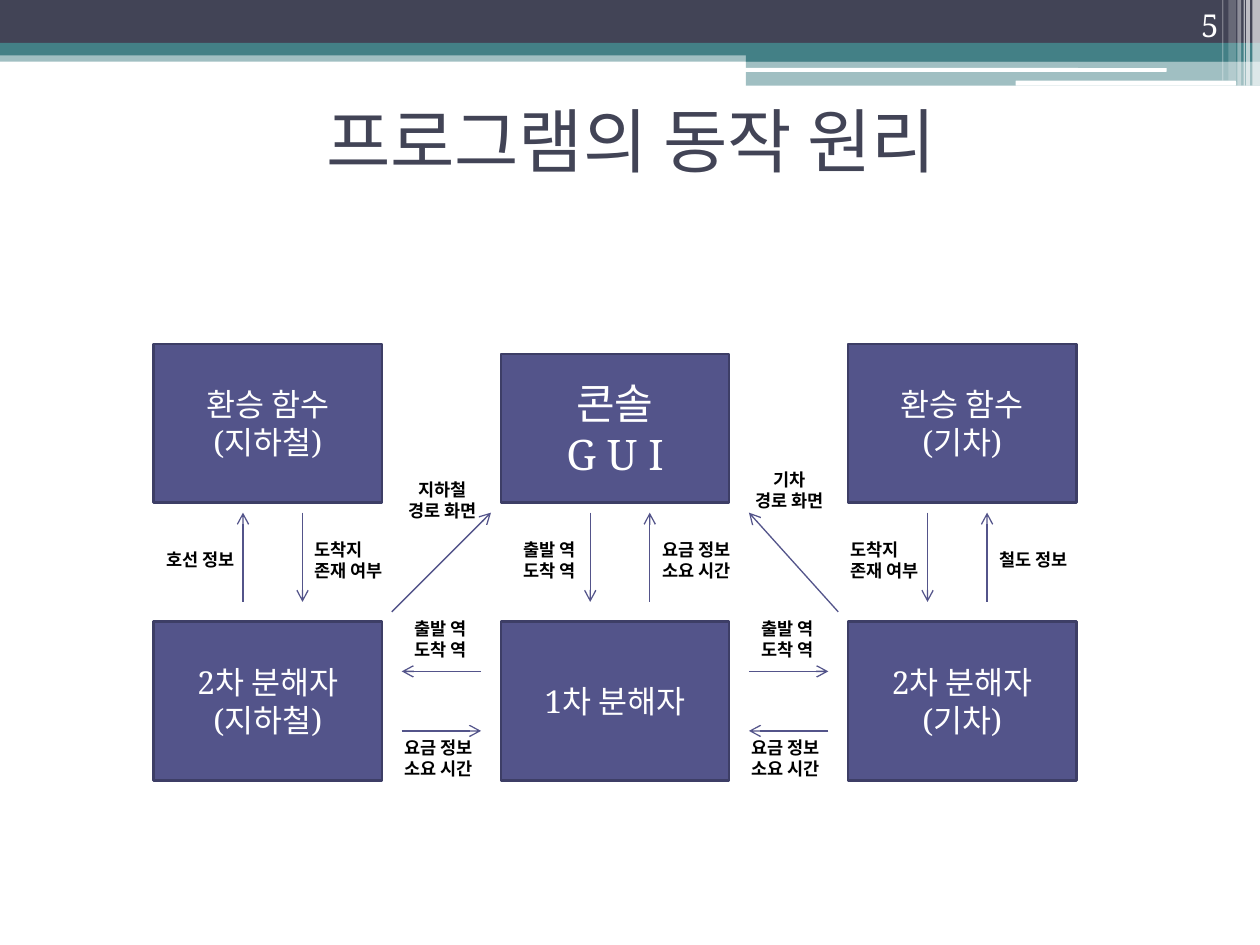
from dataclasses import dataclass
from typing import NamedTuple

from lxml.etree import SubElement
from pptx import Presentation
from pptx.dml.color import RGBColor
from pptx.enum.shapes import MSO_CONNECTOR, MSO_SHAPE
from pptx.enum.text import MSO_ANCHOR, MSO_AUTO_SIZE, PP_ALIGN
from pptx.oxml.ns import qn
from pptx.util import Cm, Inches, Pt


@dataclass(frozen=True)
class Theme:
    navy: str = "424456"
    teal: str = "438086"
    white: str = "FFFFFF"
    black: str = "000000"
    box_fill: str = "53548A"
    box_line: str = "3D3E66"
    title_font: str = "Karla"
    body_font: str = "Noto Serif"
    title_size: int = 40
    gui_size: int = 24
    body_size: int = 18
    label_size: int = 10


THEME = Theme()
WIDTH, HEIGHT = Inches(10), Inches(7.5)
SHARE = WIDTH // 100                    # banner unit: 1 % of the slide width
CELL = Cm(0.2)                          # diagram grid unit
LEFT, TOP = Inches(1.22), Inches(2.73)  # diagram grid origin
COLUMN_STEP, ROW_STEP = 35, 28
BOX_COLUMNS, BOX_ROWS = 23, 16


class Bar(NamedTuple):
    left: float
    top: float
    width: float
    height: float
    color: str
    opacity: int = 100
    rounded: bool = False


class Node(NamedTuple):
    column: int
    row: int
    text: str
    size: int = THEME.body_size
    trim: int = 0  # cells cut off the top


class Arrow(NamedTuple):
    start: tuple[int, int]
    end: tuple[int, int]


class Label(NamedTuple):
    column: int
    row: int
    text: str
    width: float = 0.8
    align: PP_ALIGN = PP_ALIGN.LEFT


BARS = [
    Bar(0, 4, 100, 0.9, THEME.teal, 50),
    Bar(0, 0, 100, 3.4, THEME.navy),
    Bar(0, 3.4, 100, 1, THEME.teal),
    Bar(59.2, 3.9, 40.8, 1, THEME.teal),
    Bar(59.2, 4.8, 40.8, 2, THEME.teal, 50),
    Bar(59.1, 5.4, 33.5, 0.3, THEME.white, rounded=True),
    Bar(80.6, 6.4, 17.5, 0.4, THEME.white, rounded=True),
    Bar(99.4, 0, 0.6, 6.8, THEME.white, 65),
    Bar(98.9, 0, 0.3, 6.8, THEME.white, 65),
    Bar(98.7, 0, 0.1, 6.8, THEME.white, 60),
    Bar(98.2, 0, 0.3, 6.8, THEME.white, 40),
    Bar(97.5, 0, 0.6, 6.4, THEME.white, 20),
    Bar(97, 0, 0.1, 6.4, THEME.white, 30),
]

NODES = [
    Node(1, 0, "콘솔\nG U I", THEME.gui_size, trim=1),
    Node(1, 1, "1차 분해자"),
    Node(2, 1, "2차 분해자\n(기차)"),
    Node(2, 0, "환승 함수\n(기차)"),
    Node(0, 0, "환승 함수\n(지하철)"),
    Node(0, 1, "2차 분해자\n(지하철)"),
]

DOWN_COLUMNS, UP_COLUMNS = (15, 44, 78), (9, 50, 84)
ARROWS = [
    *(Arrow((column, 17), (column, 26)) for column in DOWN_COLUMNS),
    *(Arrow((column, 26), (column, 17)) for column in UP_COLUMNS),
    Arrow((33, 33), (25, 33)),
    Arrow((25, 39), (33, 39)),
    Arrow((60, 33), (68, 33)),
    Arrow((68, 39), (60, 39)),
    Arrow((24, 27), (34, 17)),
    Arrow((69, 27), (60, 17)),
]

STATIONS, COSTS, REACHABLE = "출발 역\n도착 역", "요금 정보\n소요 시간", "도착지\n존재 여부"
LABELS = [
    *(Label(column, row, STATIONS, 0.66) for column, row in ((36, 19), (25, 27), (60, 27))),
    *(Label(column, row, COSTS) for column, row in ((24, 39), (59, 39), (50, 19))),
    *(Label(column, 19, REACHABLE) for column in (15, 69)),
    Label(0, 20, "호선 정보"),
    Label(84, 20, "철도 정보"),
    Label(24, 13, "지하철\n경로 화면", align=PP_ALIGN.CENTER),
    Label(59, 12, "기차\n경로 화면", align=PP_ALIGN.CENTER),
]


def grid_point(column: float, row: float) -> tuple[int, int]:
    return int(LEFT + column * CELL), int(TOP + row * CELL)


def write(shape, text: str, size: int, color: str, align: PP_ALIGN, anchor: MSO_ANCHOR,
          font: str = THEME.body_font, bold: bool = False, wrap: bool = True) -> None:
    frame = shape.text_frame
    frame.text = text
    frame.word_wrap = wrap
    frame.vertical_anchor = anchor
    for para in frame.paragraphs:
        para.alignment = align
        for span in para.runs:
            span.font.name = font
            span.font.size = Pt(size)
            span.font.bold = bold
            span.font.color.rgb = RGBColor.from_string(color)


def fill(shape, color: str) -> None:
    shape.shadow.inherit = False
    shape.fill.solid()
    shape.fill.fore_color.rgb = RGBColor.from_string(color)


def draw_bar(page, bar: Bar) -> None:
    kind = MSO_SHAPE.ROUNDED_RECTANGLE if bar.rounded else MSO_SHAPE.RECTANGLE
    shape = page.shapes.add_shape(kind, *(int(length * SHARE) for length in bar[:4]))
    fill(shape, bar.color)
    shape.line.fill.background()
    if bar.opacity < 100:
        color = shape.fill._xPr.find(qn("a:solidFill"))[0]
        SubElement(color, qn("a:alpha"), val=str(bar.opacity * 1000))


def draw_node(page, node: Node) -> None:
    left, top = grid_point(node.column * COLUMN_STEP, node.row * ROW_STEP + node.trim)
    box = page.shapes.add_shape(MSO_SHAPE.RECTANGLE, left, top, BOX_COLUMNS * CELL,
                                (BOX_ROWS - node.trim) * CELL)
    fill(box, THEME.box_fill)
    box.line.color.rgb = RGBColor.from_string(THEME.box_line)
    box.line.width = Pt(1.5)
    write(box, node.text, node.size, THEME.white, PP_ALIGN.CENTER, MSO_ANCHOR.MIDDLE)


def draw_arrow(page, arrow: Arrow) -> None:
    connector = page.shapes.add_connector(MSO_CONNECTOR.STRAIGHT, *grid_point(*arrow.start),
                                          *grid_point(*arrow.end))
    connector.line.color.rgb = RGBColor.from_string(THEME.box_fill)
    connector.line.width = Pt(0.75)
    SubElement(connector.line._get_or_add_ln(), qn("a:tailEnd"), type="arrow")
    SubElement(connector._element.spPr, qn("a:effectLst"))


def draw_label(page, label: Label) -> None:
    height = 0.44 if "\n" in label.text else 0.27
    box = page.shapes.add_textbox(*grid_point(label.column, label.row),
                                  Inches(label.width), Inches(height))
    write(box, label.text, THEME.label_size, THEME.black, label.align, MSO_ANCHOR.TOP,
          bold=True, wrap=False)
    box.text_frame.auto_size = MSO_AUTO_SIZE.SHAPE_TO_FIT_TEXT


def main() -> None:
    deck = Presentation()
    deck.slide_width, deck.slide_height = WIDTH, HEIGHT
    page = deck.slides.add_slide(deck.slide_layouts[6])

    # Banner, title and page number
    for bar in BARS:
        draw_bar(page, bar)
    title = page.shapes.add_textbox(Inches(0.51), Inches(0.52), Inches(9), Inches(1.17))
    write(title, "프로그램의 동작 원리", THEME.title_size, THEME.navy, PP_ALIGN.CENTER,
          MSO_ANCHOR.MIDDLE, font=THEME.title_font)
    number = page.shapes.add_textbox(Inches(8.94), 0, Inches(0.83), Inches(0.4))
    write(number, "5", THEME.body_size, THEME.white, PP_ALIGN.RIGHT, MSO_ANCHOR.BOTTOM)

    # Diagram
    for node in NODES:
        draw_node(page, node)
    for arrow in ARROWS:
        draw_arrow(page, arrow)
    for label in LABELS:
        draw_label(page, label)
    deck.save("out.pptx")


if __name__ == "__main__":
    main()
